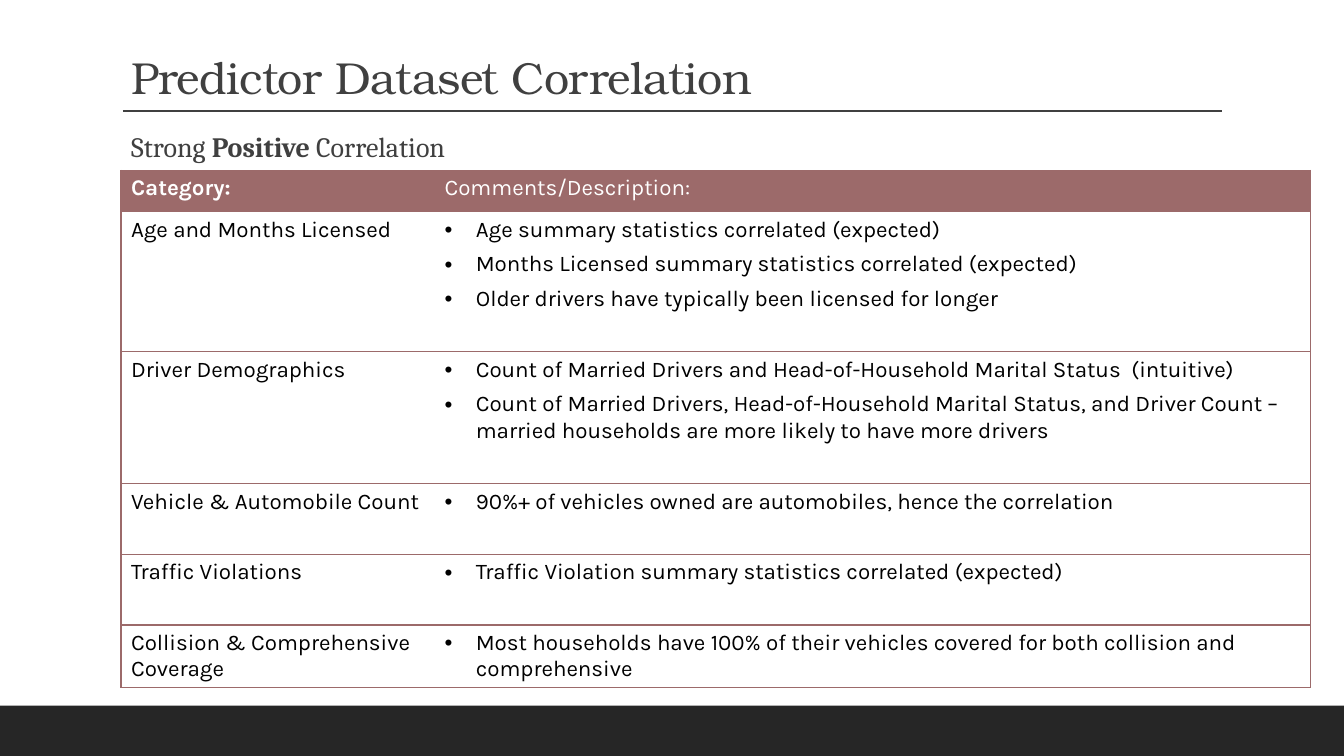
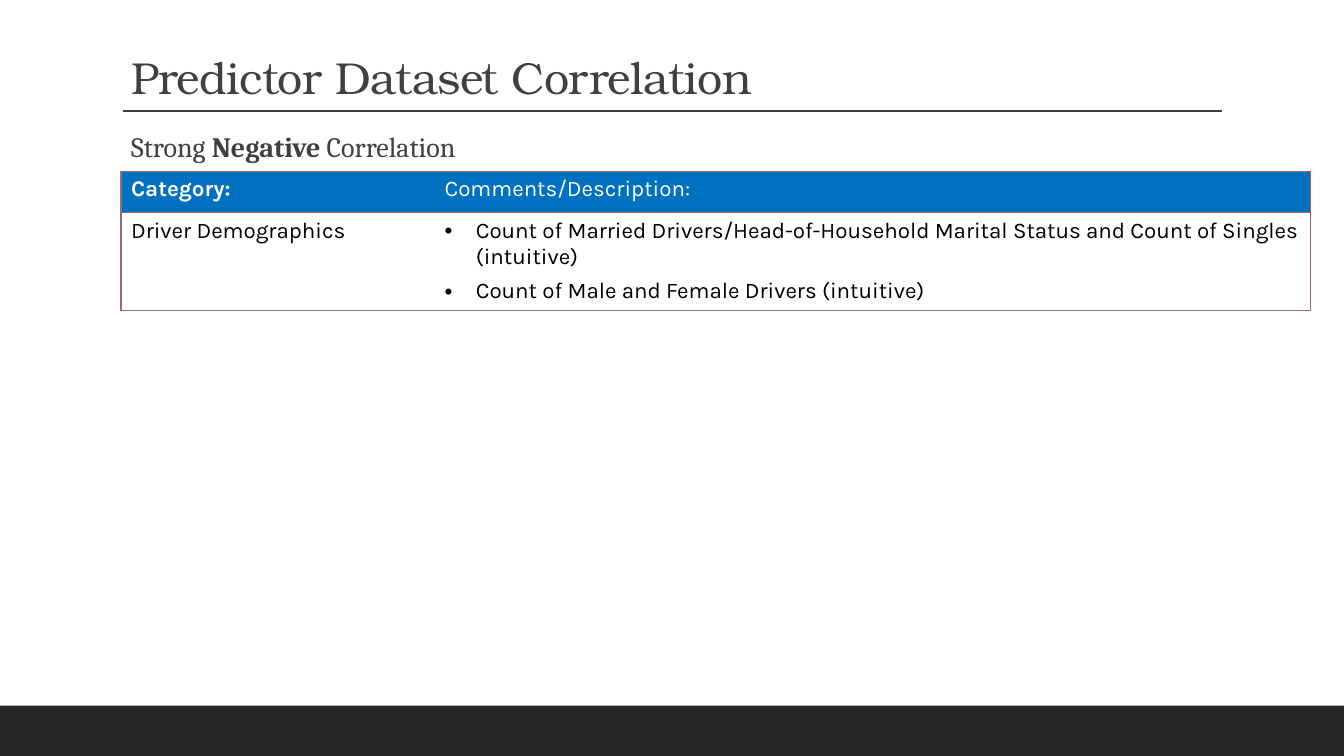
from lxml.etree import SubElement as Sub
from pptx import Presentation
from pptx.dml.color import RGBColor as RGB
from pptx.enum.shapes import MSO_CONNECTOR as Link, MSO_SHAPE as Shape
from pptx.enum.text import MSO_ANCHOR as Anchor, MSO_AUTO_SIZE as Fit, PP_ALIGN as Align
from pptx.oxml.ns import qn
from pptx.util import Inches, Pt

HUES = {"ink": "404040", "band": "262626", "rose": "9C6A6A", "blue": "0070C0",
        "white": "FFFFFF", "black": "000000"}
PLAIN = "{2D5ABB26-0587-4C30-8999-92F81FD0307C}"
HEADS = ["Category:", "Comments/Description:"]
COLS = [3.11, 8.69]
HEAD = 0.41

PAGES = [
    ("Positive", "rose", 1.69, [
        (1.39, "Age and Months Licensed", [
            "Age summary statistics correlated (expected)",
            "Months Licensed summary statistics correlated (expected)",
            "Older drivers have typically been licensed for longer"]),
        (1.31, "Driver Demographics", [
            "Count of Married Drivers and Head-of-Household Marital Status  (intuitive)",
            "Count of Married Drivers, Head-of-Household Marital Status, and Driver Count – "
            "married households are more likely to have more drivers"]),
        (0.7, "Vehicle & Automobile Count", [
            "90%+ of vehicles owned are automobiles, hence the correlation"]),
        (0.7, "Traffic Violations", [
            "Traffic Violation summary statistics correlated (expected)"]),
        (0.62, "Collision & Comprehensive Coverage", [
            "Most households have 100% of their vehicles covered for both collision and "
            "comprehensive"]),
    ]),
    ("Negative", "blue", 1.7, [
        (0.97, "Driver Demographics", [
            "Count of Married Drivers/Head-of-Household Marital Status and Count of Singles "
            "(intuitive)",
            "Count of Male and Female Drivers (intuitive)"]),
    ]),
]

deck = Presentation()
deck.slide_width, deck.slide_height = Inches(13.33), Inches(7.5)
W, H = deck.slide_width, deck.slide_height
LEFT = Inches(1.2)


def style(para, face, size, hue, bold=False):
    font = para.font
    font.name, font.size, font.bold = face, Pt(size), bold
    font.color.rgb = RGB.from_string(HUES[hue])


def fill_cell(cell, lines, sides, back, hue, bold, dots, after):
    props = cell._tc.get_or_add_tcPr()
    for side in sides:
        edge = Sub(props, qn("a:ln" + side), w=str(Pt(1)))
        Sub(Sub(edge, qn("a:solidFill")), qn("a:srgbClr"), val=HUES["rose"])
    cell.fill.solid()
    cell.fill.fore_color.rgb = RGB.from_string(HUES[back])
    cell.text = "\n".join(lines)
    for para in cell.text_frame.paragraphs:
        if dots:
            mark = para._p.get_or_add_pPr()
            mark.set("marL", str(Inches(0.31)))
            mark.set("indent", str(-Inches(0.31)))
            Sub(mark, qn("a:buFont"), typeface="Arial")
            Sub(mark, qn("a:buChar"), char="•")
        para.space_after = Pt(after)
        style(para, "Karla", 16, hue, bold)


for word, tone, top, rows in PAGES:
    slide = deck.slides.add_slide(deck.slide_layouts[1])
    shapes = slide.shapes

    band = shapes.add_shape(Shape.RECTANGLE, 0, H * 14 // 15, W, H // 15)
    band.shadow.inherit = False
    band.fill.solid()
    band.fill.fore_color.rgb = RGB.from_string(HUES["band"])
    band.line.fill.background()

    rule = shapes.add_connector(Link.STRAIGHT, Inches(1.22), Inches(1.1),
                                Inches(12.12), Inches(1.1))
    rule.line.color.rgb = RGB.from_string(HUES["ink"])
    rule.line.width = Pt(1)
    Sub(rule._element.spPr, qn("a:effectLst"))

    title, body = shapes.title, slide.placeholders[1]
    for box, y, tall, anchor in ((title, 0.47, 0.61, Anchor.BOTTOM),
                                 (body, 1.2, 0.46, Anchor.TOP)):
        box.left, box.top = LEFT, Inches(y)
        box.width, box.height = Inches(11), Inches(tall)
        box.text_frame.auto_size = Fit.NONE
        box.text_frame.vertical_anchor = anchor

    title.text = "Predictor Dataset Correlation"
    para = title.text_frame.paragraphs[0]
    para.alignment, para.line_spacing = Align.LEFT, 0.9
    style(para, "TeX Gyre Bonum", 32, "ink")
    para._p.pPr.get_or_add_defRPr().set("spc", "-50")

    para = body.text_frame.paragraphs[0]
    for part in ("Strong ", word, " Correlation"):
        run = para.add_run()
        run.text = part
        if part == word:
            run.font.bold = True
    mark = para._p.get_or_add_pPr()
    mark.set("marL", "0")
    mark.set("indent", "0")
    Sub(mark, qn("a:buNone"))
    para.line_spacing, para.space_before, para.space_after = 1.1, Pt(0), Pt(2)
    style(para, "Cambria", 20, "ink")

    highs = [HEAD] + [row[0] for row in rows]
    frame = shapes.add_table(len(highs), len(COLS), LEFT, Inches(top),
                             Inches(sum(COLS)), Inches(sum(highs)))
    table = frame.table
    table.horz_banding = False
    table._tbl.tblPr.find(qn("a:tableStyleId")).text = PLAIN
    for col, wide in zip(table.columns, COLS):
        col.width = Inches(wide)
    for row, high in zip(table.rows, highs):
        row.height = Inches(high)

    for c, (head, side) in enumerate(zip(HEADS, "LR")):
        sides = side + "TB"
        fill_cell(table.cell(0, c), [head], sides, tone, "white", c == 0, False, 0)
        for r, (high, label, notes) in enumerate(rows, 1):
            lines = notes if c else [label]
            fill_cell(table.cell(r, c), lines, sides, "white", "black", False, c == 1, 6)

deck.save("out.pptx")
